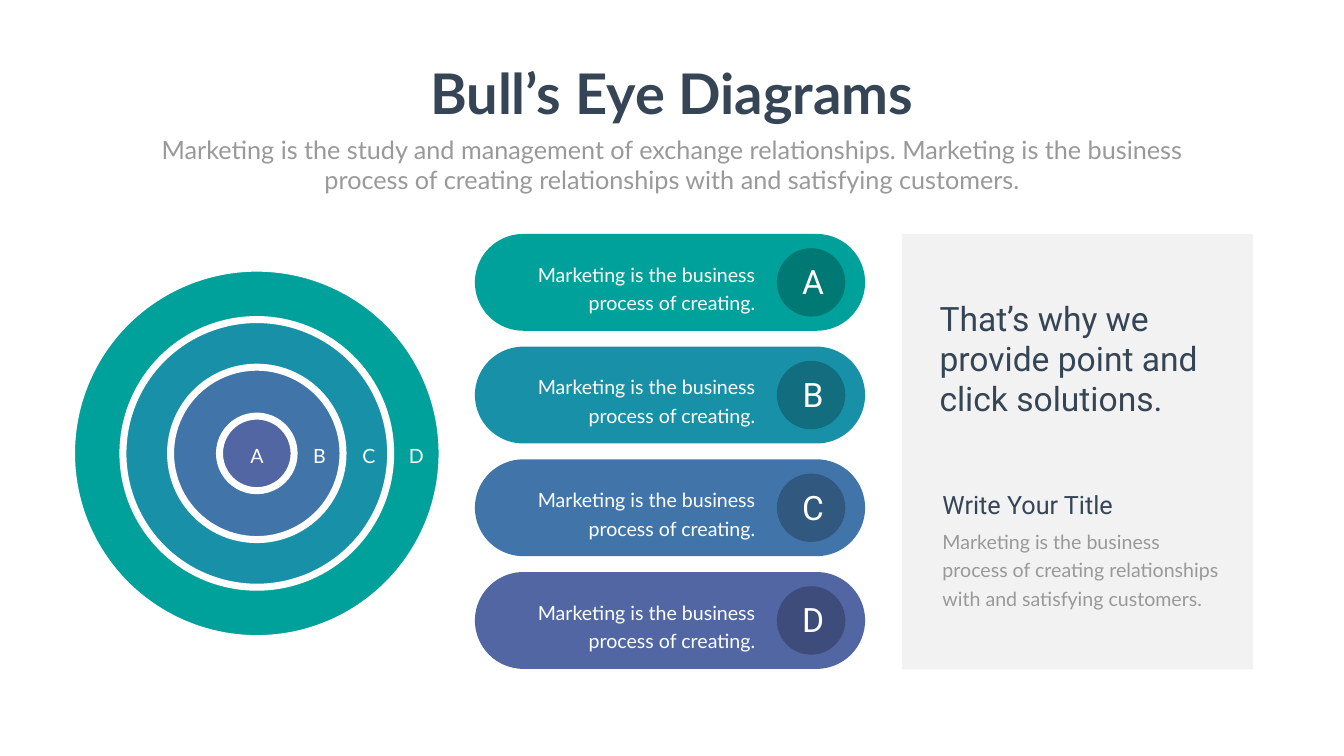
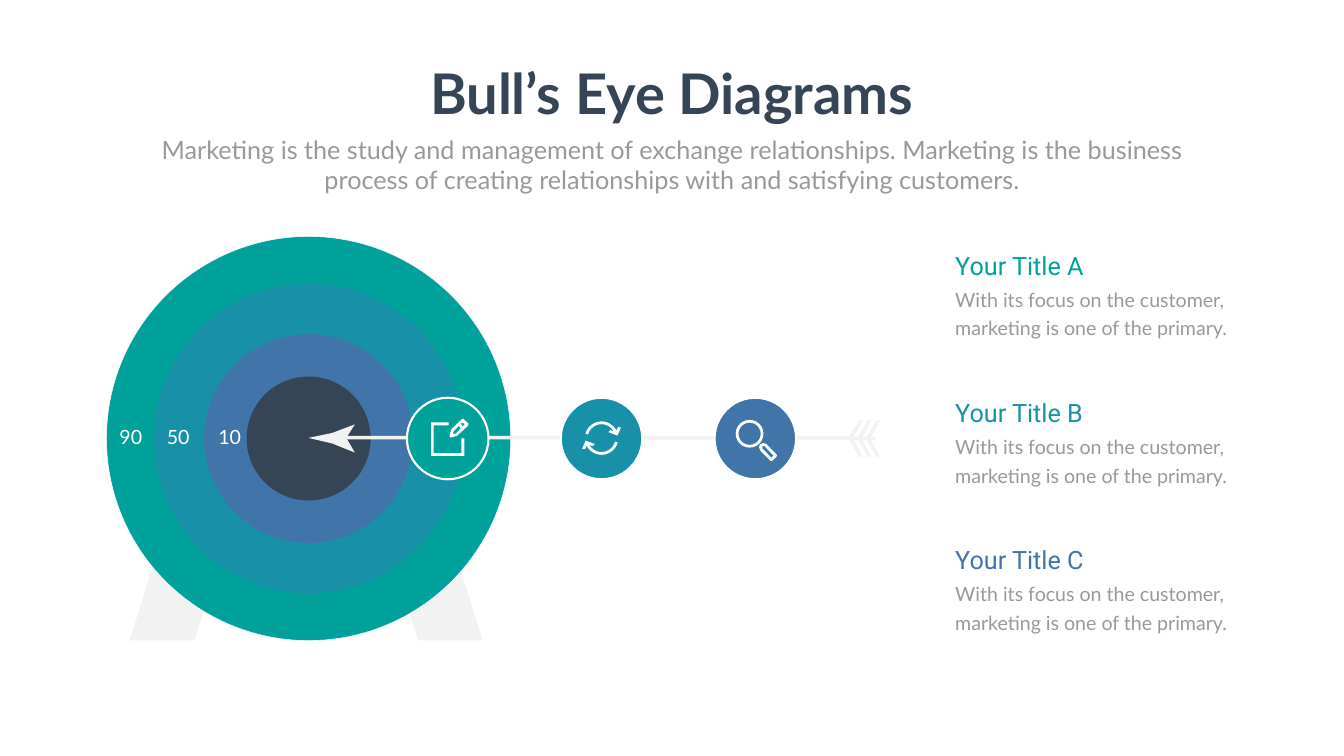
from math import cos, radians, sin

from lxml.etree import SubElement
from pptx import Presentation
from pptx.dml.color import RGBColor
from pptx.enum.shapes import MSO_CONNECTOR, MSO_SHAPE
from pptx.enum.text import MSO_AUTO_SIZE, PP_ALIGN
from pptx.oxml.ns import qn
from pptx.util import Cm, Pt

WHITE, NAVY, GREY, PALE, SMOKE = "FFFFFF", "364556", "999999", "F2F2F2", "808080"
TEAL, CYAN, BLUE, INDIGO = BANDS = ["00A19B", "1891A8", "4175AA", "5166A3"]
DARK_BANDS = ["007974", "126D7E", "31587F", "3D4C7A"]

STYLES = {
    "title": {"name": "Lato", "size": Pt(80), "bold": True},
    "subtitle": {"name": "Lato", "size": Pt(36)},
    "body": {"name": "Lato", "size": Pt(28)},
    "heading": {"name": "Roboto", "size": Pt(36)},
    "display": {"name": "Roboto", "size": Pt(48)},
}
BODY_LEADING = Pt(40.8)
HEADING = "Bull\u2019s Eye Diagrams"
INTRO = ("Marketing is the study and management of exchange relationships. "
         "Marketing is the business process of creating relationships "
         "with and satisfying customers.")


def rgb(code):
    """Turn a hex string into a colour."""
    return RGBColor.from_string(code)


def shift(outline, x, y):
    """Move an outline by x and y."""
    return [(px + x, py + y) for px, py in outline]


def arc(radius, start, end, steps=24):
    """List points along an arc around the origin, angles in degrees."""
    angles = [radians(start + (end - start) * i / steps) for i in range(steps + 1)]
    return [(radius * cos(a), radius * sin(a)) for a in angles]


class Deck:
    """Holds the presentation, its style and the current slide."""

    def __init__(self):
        """Open an empty wide presentation."""
        self.file = Presentation()
        self.file.slide_width, self.file.slide_height = Cm(67.72), Cm(38.1)
        self.shapes = None

    def new_slide(self):
        """Start a blank slide."""
        self.shapes = self.file.slides.add_slide(self.file.slide_layouts[6]).shapes

    def header(self):
        """Write the heading and introduction both slides share."""
        self.text(HEADING, 21.18, 2.84, 25.35, 3.68, "title", NAVY,
                  PP_ALIGN.CENTER, wrap=False)
        self.text(INTRO, 7.42, 6.63, 52.88, 3.33, "subtitle", GREY, PP_ALIGN.CENTER)

    def paint(self, shape, fill, line=None, weight=0, opacity=None):
        """Give a shape its fill and outline, without shadow."""
        shape.shadow.inherit = False
        shape.fill.solid()
        shape.fill.fore_color.rgb = rgb(fill)
        if opacity:
            color = shape._element.spPr.find(qn("a:solidFill"))[0]
            SubElement(color, qn("a:alpha"), val=str(opacity * 1000))
        if line:
            shape.line.color.rgb = rgb(line)
            shape.line.width = Pt(weight)
        else:
            shape.line.fill.background()

    def preset(self, kind, x, y, width, height, fill, adjust=None, **look):
        """Add a preset shape."""
        shape = self.shapes.add_shape(kind, Cm(x), Cm(y), Cm(width), Cm(height))
        if adjust is not None:
            shape.adjustments[0] = adjust
        self.paint(shape, fill, **look)

    def disc(self, x, y, diameter, fill, **look):
        """Add a circle around a centre."""
        self.preset(MSO_SHAPE.OVAL, x - diameter / 2, y - diameter / 2,
                    diameter, diameter, fill, **look)

    def outline(self, contours, fill, **look):
        """Add a closed freeform; contours after the first cut holes."""
        contours = [[(Cm(x), Cm(y)) for x, y in contour] for contour in contours]
        builder = self.shapes.build_freeform(*contours[0][0], scale=1.0)
        builder.add_line_segments(contours[0][1:], close=True)
        for hole in contours[1:]:
            builder.move_to(*hole[0])
            builder.add_line_segments(hole[1:], close=True)
        self.paint(builder.convert_to_shape(), fill, **look)

    def line(self, x1, y1, x2, y2, color, weight):
        """Add a straight connector without shadow."""
        connector = self.shapes.add_connector(
            MSO_CONNECTOR.STRAIGHT, Cm(x1), Cm(y1), Cm(x2), Cm(y2))
        connector.line.color.rgb = rgb(color)
        connector.line.width = Pt(weight)
        SubElement(connector._element.spPr, qn("a:effectLst"))

    def text(self, words, x, y, width, height, style, color,
             align=PP_ALIGN.LEFT, wrap=True, leading=None):
        """Add a text box in one of the named styles."""
        frame = self.shapes.add_textbox(Cm(x), Cm(y), Cm(width), Cm(height)).text_frame
        frame.word_wrap = wrap
        frame.auto_size = MSO_AUTO_SIZE.SHAPE_TO_FIT_TEXT
        paragraph = frame.paragraphs[0]
        paragraph.alignment = align
        if leading:
            paragraph.line_spacing = leading
        run = paragraph.add_run()
        run.text = words
        for attribute, value in STYLES[style].items():
            setattr(run.font, attribute, value)
        run.font.color.rgb = rgb(color)


def ring_diagram(deck):
    """Draw the lettered rings."""
    for diameter, color in zip([18.67, 13.49, 8.69, 3.76], BANDS):
        deck.disc(12.94, 22.85, diameter, color, line=WHITE, weight=10)
    for letter, x in zip("ABCD", [12.95, 16.1, 18.59, 20.98]):
        deck.text(letter, x - 0.94, 22.23, 1.88, 1.27, "body", WHITE, PP_ALIGN.CENTER)


def pill_list(deck):
    """Draw the four lettered pills."""
    for i, (letter, color, dark) in enumerate(zip("ABCD", BANDS, DARK_BANDS)):
        top = 11.79 + 5.68 * i
        deck.preset(MSO_SHAPE.ROUNDED_RECTANGLE, 23.93, top, 19.66, 4.88, color,
                    adjust=0.5)
        deck.disc(40.87, top + 2.44, 3.45, dark)
        deck.text(letter, 39.93, top + 1.24, 2.08, 2.31, "display", WHITE,
                  PP_ALIGN.CENTER)
        deck.text("Marketing is the business process of creating.", 25.5, top + 1.06,
                  12.8, 3.02, "body", WHITE, PP_ALIGN.RIGHT, leading=BODY_LEADING)


def side_panel(deck):
    """Draw the pale panel with the statement."""
    deck.preset(MSO_SHAPE.RECTANGLE, 45.44, 11.79, 17.7, 21.95, SMOKE, opacity=10)
    deck.text("Marketing is the business process of creating relationships "
              "with and satisfying customers.", 47.24, 26.31, 14.43, 4.5,
              "body", GREY, leading=BODY_LEADING)
    deck.text("Write Your Title", 47.24, 24.51, 11.71, 1.8, "heading", NAVY)
    deck.text("That\u2019s why we provide point and click solutions.",
              47.09, 14.88, 14.43, 6.4, "display", NAVY)


AXIS = 22.1


def target(deck):
    """Draw the target on its two legs."""
    for side in (1, -1):
        leg = [(4.1, 27.36), (7.35, 27.36), (8.9, 32.28), (5.63, 32.28)]
        deck.outline([[(15.43 + side * x, y) for x, y in leg]], SMOKE, opacity=10)
    deck.disc(15.55, AXIS, 20.37, TEAL, line=WHITE, weight=0.75)
    for diameter, color in zip([15.6, 10.52, 6.25], [CYAN, BLUE, NAVY]):
        deck.disc(15.55, AXIS, diameter, color)


def arrow(deck):
    """Draw the arrow's shaft, head and feathers."""
    deck.line(17.15, 22.05, 42.88, 22.07, PALE, 5)
    deck.outline([[(17.45, 22.07), (17.88, 21.39), (16.74, 21.82), (15.54, 22.07),
                   (16.74, 22.35), (17.88, 22.81)]], PALE)
    upper = [(42.8, -0.1)]
    for i in range(3):
        upper += shift([(43.28, -0.91), (43.48, -0.91), (43.03, -0.1), (43.26, -0.1)],
                       0.43 * i, 0)
    lower = [(x, -y) for x, y in reversed(upper)]
    deck.outline([shift(upper + lower, 0, AXIS)], PALE)


def edit_icon(deck, x):
    """Draw a sheet and a pencil."""
    sheet = [(0.69, 0), (0.69, 0.74), (-0.71, 0.74), (-0.71, -0.66), (0.05, -0.66),
             (0.05, -0.81), (-0.84, -0.81), (-0.84, 0.88), (0.84, 0.88), (0.84, 0)]
    pencil = [(1.04, -0.76), (0.79, -0.99), (0.71, -0.97), (0.18, -0.46),
              (0.09, -0.1), (0.14, -0.05), (0.46, -0.13), (1.04, -0.66)]
    eraser = [(0.76, -0.61), (0.66, -0.74), (0.76, -0.81), (0.86, -0.71)]
    shaft = [(0.41, -0.25), (0.25, -0.23), (0.3, -0.36), (0.56, -0.64), (0.66, -0.51)]
    for contours in ([sheet], [pencil, eraser, shaft]):
        deck.outline([shift(c, x, AXIS) for c in contours], WHITE)


def refresh_icon(deck, x):
    """Draw two arrows chasing each other, one the half turn of the other."""
    barb = [(0.83, -0.56), (0.98, -0.53), (0.8, -0.13), (0.34, -0.3), (0.44, -0.41)]
    chaser = arc(0.84, 195, 333) + barb + arc(0.7, 332, 195)
    for turn in (1, -1):
        deck.outline([shift([(turn * px, turn * py) for px, py in chaser],
                            x, AXIS - 0.02)], WHITE)


def search_icon(deck, x):
    """Draw a magnifier."""
    grip = [(0.81, 1.14), (0.76, 1.12), (0.25, 0.61), (0.18, 0.43), (0.25, 0.28),
            (0.41, 0.23), (0.56, 0.28), (1.07, 0.81), (1.09, 0.86), (1.07, 0.91),
            (0.86, 1.12)]
    slot = [(0.41, 0.38), (0.36, 0.38), (0.36, 0.51), (0.81, 0.97), (0.91, 0.86),
            (0.46, 0.38)]
    deck.outline([shift(c, x, AXIS) for c in (grip, slot)], WHITE)
    deck.preset(MSO_SHAPE.DONUT, x - 0.99, AXIS - 0.94, 1.4, 1.4, WHITE, adjust=0.1)


def badges(deck):
    """Draw the three icon badges along the arrow."""
    icons = [edit_icon, refresh_icon, search_icon]
    for i, (icon, color) in enumerate(zip(icons, BANDS)):
        x = 22.56 + 7.75 * i
        deck.disc(x, AXIS, 4.11, color, line=WHITE, weight=3)
        icon(deck, x)


def topics(deck):
    """Write the three titled topics."""
    for i, (letter, color) in enumerate(zip("ABC", BANDS)):
        top = 12.47 + 7.42 * i
        deck.text("With its focus on the customer, marketing is one of the primary.",
                  47.88, top + 1.65, 14.53, 3.02, "body", GREY, leading=BODY_LEADING)
        deck.text(f"Your Title {letter}", 47.88, top, 14.53, 1.8, "heading", color)


def scores(deck):
    """Write the scores on the target's bands."""
    for score, x in zip(["10", "50", "90"], [10.49, 7.9, 5.51]):
        deck.text(score, x, 21.31, 2.16, 1.45, "body", WHITE, PP_ALIGN.CENTER)


def main():
    """Build both slides and save them."""
    deck = Deck()
    for parts in ([ring_diagram, pill_list, side_panel],
                  [target, arrow, badges, topics, scores]):
        deck.new_slide()
        for draw in parts:
            draw(deck)
        deck.header()
    deck.file.save("out.pptx")


main()
